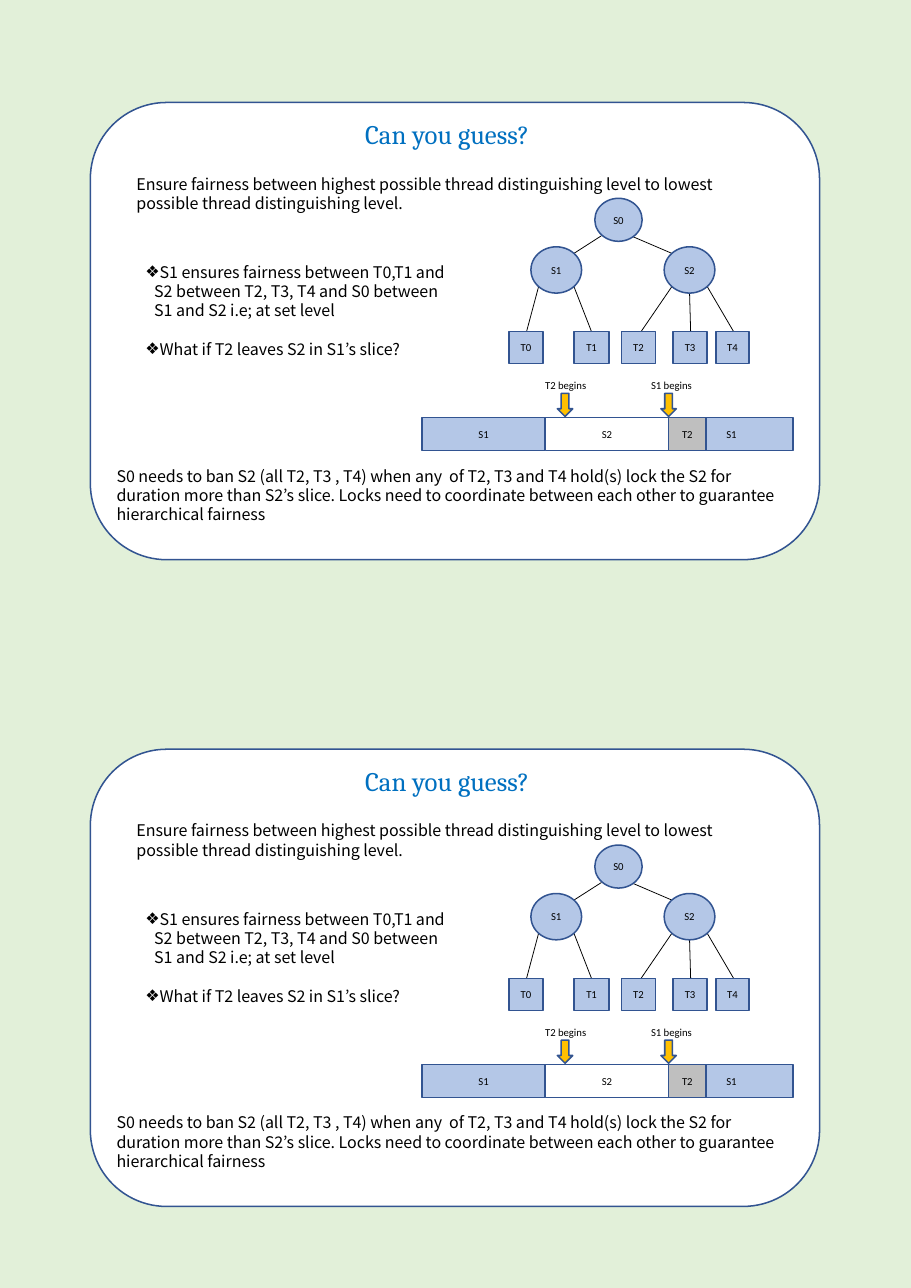
from dataclasses import dataclass

from lxml.etree import SubElement
from pptx import Presentation
from pptx.dml.color import RGBColor
from pptx.enum.shapes import MSO_CONNECTOR as Connector, MSO_SHAPE as Shape
from pptx.enum.text import MSO_ANCHOR as Anchor, MSO_AUTO_SIZE as AutoSize, PP_ALIGN as Align
from pptx.oxml.ns import qn
from pptx.util import Inches, Pt


@dataclass(frozen=True)
class Theme:
    """Colours, fonts and sizes of the handout."""
    page: str = "E2F0D9"
    card: str = "FFFFFF"
    node: str = "B4C7E7"
    overrun: str = "BFBFBF"
    arrow: str = "FFC000"
    outline: str = "325491"
    heading: str = "0070C0"
    ink: str = "000000"
    heading_font: str = "Cambria"
    body_font: str = "Noto Sans CJK KR"
    label_font: str = "Calibri"
    heading_size: float = 17.5
    body_size: float = 10.5
    label_size: float = 7
    body_pitch: float = 12.6
    outline_width: float = 1
    edge_width: float = 0.5


THEME = Theme()
PANEL_TOPS = (0.93, 6.8)
HEADING = "Can you guess?"
PRINCIPLE = ("Ensure fairness between highest possible thread distinguishing level "
             "to lowest possible thread distinguishing level.")
POINTS = ("S1 ensures fairness between T0,T1 and S2 between T2, T3, T4 and S0 "
          "between S1 and S2 i.e; at set level",
          "What if T2 leaves S2 in S1’s slice?")
CONCLUSION = ("S0 needs to ban S2 (all T2, T3 , T4) when any  of T2, T3 and T4 hold(s) "
              "lock the S2 for duration more than S2’s slice. Locks need to coordinate "
              "between each other to guarantee hierarchical fairness")

SETS = (("S0", 5.4, 0.87, 0.43, 0.39),
        ("S1", 4.82, 1.31, 0.46, 0.42),
        ("S2", 6.03, 1.31, 0.46, 0.42))
THREADS = (("T0", 4.62, 0.31), ("T1", 5.21, 0.32), ("T2", 5.64, 0.31),
           ("T3", 6.11, 0.31), ("T4", 6.5, 0.3))
THREAD_TOP = 2.08
EDGES = ((5.21, 1.37, 5.46, 1.21), (6.1, 1.37, 5.75, 1.22),
         (4.89, 1.67, 4.78, THREAD_TOP), (5.21, 1.67, 5.37, THREAD_TOP),
         (6.1, 1.67, 5.82, THREAD_TOP), (6.26, 1.73, 6.27, THREAD_TOP),
         (6.42, 1.67, 6.66, THREAD_TOP))
SLICES = (("S1", 3.83, 1.12, THEME.node), ("S2", 4.95, 1.12, THEME.card),
          ("S1", 6.08, 1.12, THEME.node), ("T2", 6.07, 0.34, THEME.overrun))
EVENTS = (("T2 begins", 5.06, 4.46), ("S1 begins", 6, 5.42))


def color(code):
    """Turn a hex code into a colour."""
    return RGBColor.from_string(code)


def apply(target, values):
    """Set every attribute named in a dict of format values."""
    for name, value in values.items():
        setattr(target, name, value)


def place(shape, box):
    """Give a shape its left, top, width and height in inches."""
    apply(shape, dict(zip(("left", "top", "width", "height"), map(Inches, box))))


def write(shape, texts, font, size, ink=THEME.ink, align=Align.LEFT,
          anchor=Anchor.TOP, pitch=None, bullet=None):
    """Fill a text frame with one formatted paragraph per text."""
    frame = shape.text_frame
    apply(frame, {"word_wrap": True, "auto_size": AutoSize.NONE, "vertical_anchor": anchor})
    frame.text = "\n".join(texts)
    for index, paragraph in enumerate(frame.paragraphs):
        gap = pitch if bullet and index else 0
        apply(paragraph, {"alignment": align, "space_before": Pt(gap), "space_after": Pt(0),
                          "line_spacing": Pt(pitch) if pitch else 1.0})
        apply(paragraph.font, {"name": font, "size": Pt(size), "bold": False})
        paragraph.font.color.rgb = color(ink)
        properties = paragraph._p.get_or_add_pPr()
        indent = Inches(0.08) if bullet else 0
        properties.set("marL", str(indent))
        properties.set("indent", str(-indent))
        if bullet:
            SubElement(properties, qn("a:buChar")).set("char", bullet)
        else:
            SubElement(properties, qn("a:buNone"))


def add_box(slide, kind, box, fill, label=None):
    """Add an outlined shape with an optional centred label."""
    shape = slide.shapes.add_shape(kind, *map(Inches, box))
    shape.shadow.inherit = False
    shape.fill.solid()
    shape.fill.fore_color.rgb = color(fill)
    shape.line.color.rgb = color(THEME.outline)
    shape.line.width = Pt(THEME.outline_width)
    if label:
        apply(shape.text_frame, dict.fromkeys(
            ("margin_left", "margin_right", "margin_top", "margin_bottom"), 0))
        write(shape, [label], THEME.label_font, THEME.label_size,
              align=Align.CENTER, anchor=Anchor.MIDDLE)
    return shape


def add_edge(slide, ends):
    """Add a thin straight line between two tree nodes."""
    edge = slide.shapes.add_connector(Connector.STRAIGHT, *map(Inches, ends))
    edge.line.color.rgb = color(THEME.ink)
    edge.line.width = Pt(THEME.edge_width)
    SubElement(edge.element.spPr, qn("a:effectLst"))


def add_text(slide, box, text, **style):
    """Add a text box holding one paragraph."""
    write(slide.shapes.add_textbox(*map(Inches, box)), [text], **style)


def fill_placeholder(slide, placeholder, box, texts, **style):
    """Move a placeholder to the front, place it and fill it."""
    slide.shapes.element.append(placeholder.element)
    place(placeholder, box)
    write(placeholder, texts, **style)


def add_tree(slide, top):
    """Draw the hierarchy of sets and threads."""
    for x1, y1, x2, y2 in EDGES:
        add_edge(slide, (x1, top + y1, x2, top + y2))
    for label, left, offset, width, height in SETS:
        add_box(slide, Shape.OVAL, (left, top + offset, width, height), THEME.node, label)
    for label, left, width in THREADS:
        add_box(slide, Shape.RECTANGLE, (left, top + THREAD_TOP, width, 0.29),
                THEME.node, label)


def add_timeline(slide, top):
    """Draw the lock slices and the events above them."""
    for label, left, width, fill in SLICES:
        add_box(slide, Shape.RECTANGLE, (left, top + 2.86, width, 0.3), fill, label)
    for label, arrow_left, label_left in EVENTS:
        add_box(slide, Shape.DOWN_ARROW, (arrow_left, top + 2.64, 0.14, 0.21), THEME.arrow)
        add_text(slide, (label_left, top + 2.46, 1.35, 0.22), label, align=Align.CENTER,
                 font=THEME.label_font, size=THEME.label_size)


def add_panel(slide, top, heading, points):
    """Build one card with its heading, texts, tree and timeline."""
    body = {"font": THEME.body_font, "size": THEME.body_size, "pitch": THEME.body_pitch}
    card = add_box(slide, Shape.ROUNDED_RECTANGLE, (0.82, top, 6.62, 4.15), THEME.card)
    card.adjustments[0] = 0.167
    add_tree(slide, top)
    fill_placeholder(slide, heading, (1.07, top + 0.09, 5.98, 0.4), [HEADING],
                     font=THEME.heading_font, size=THEME.heading_size,
                     ink=THEME.heading, align=Align.CENTER)
    add_text(slide, (1.14, top + 0.6, 5.98, 0.48), PRINCIPLE, **body)
    fill_placeholder(slide, points, (1.22, top + 1.4, 2.99, 1.2), POINTS, bullet="❖", **body)
    add_text(slide, (0.96, top + 3.25, 6.34, 0.67), CONCLUSION, **body)
    add_timeline(slide, top)


def main():
    """Build the handout page and save it."""
    presentation = Presentation()
    apply(presentation, {"slide_width": Inches(8.27), "slide_height": Inches(11.69)})
    slide = presentation.slides.add_slide(presentation.slide_layouts.get_by_name("Comparison"))
    slide.background.fill.solid()
    slide.background.fill.fore_color.rgb = color(THEME.page)
    title, second_heading, first_points, spare, second_points = list(slide.placeholders)[:5]
    spare.element.getparent().remove(spare.element)
    headings = (title, second_heading)
    for top, heading, points in zip(PANEL_TOPS, headings, (first_points, second_points)):
        add_panel(slide, top, heading, points)
    presentation.save("out.pptx")


if __name__ == "__main__":
    main()
